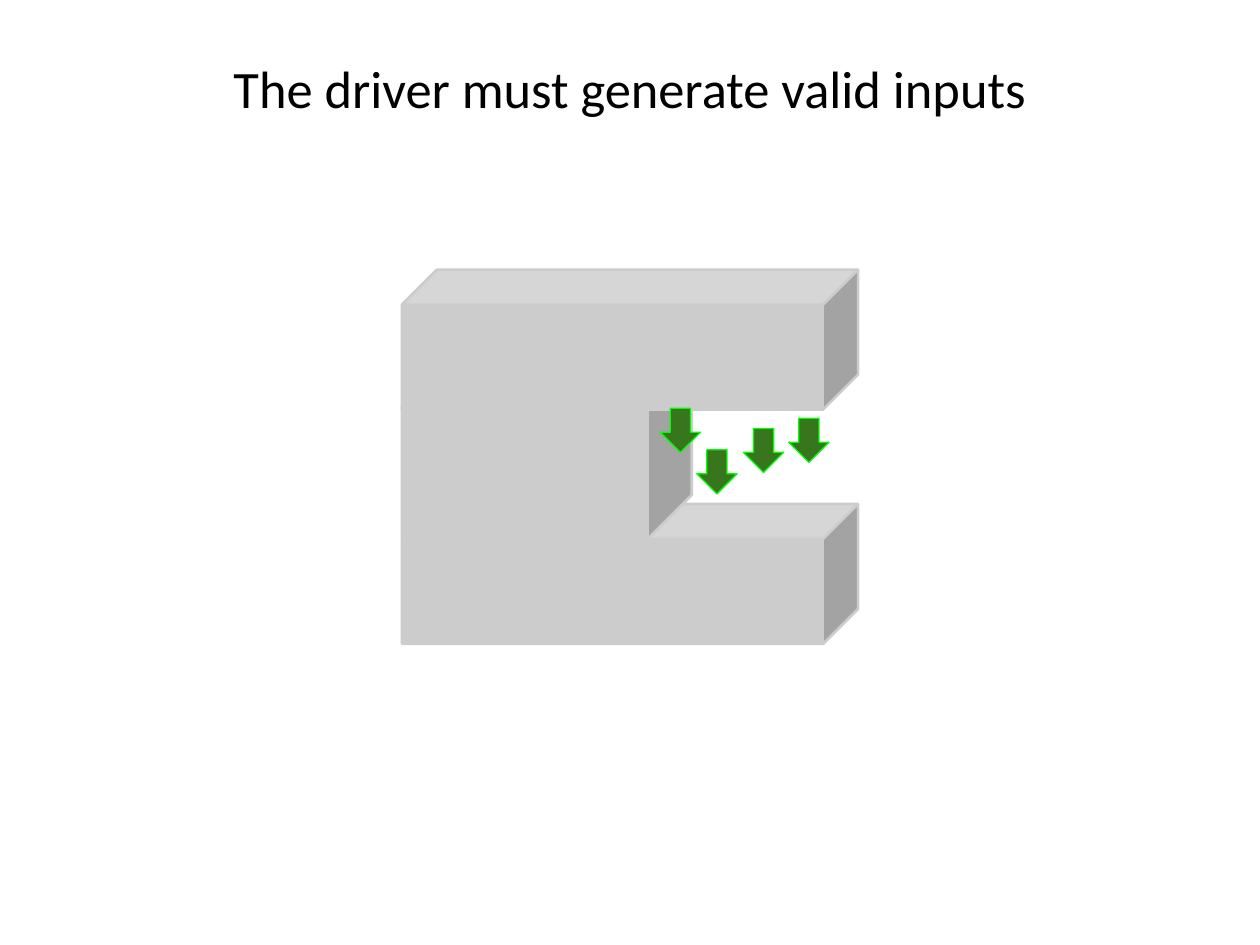
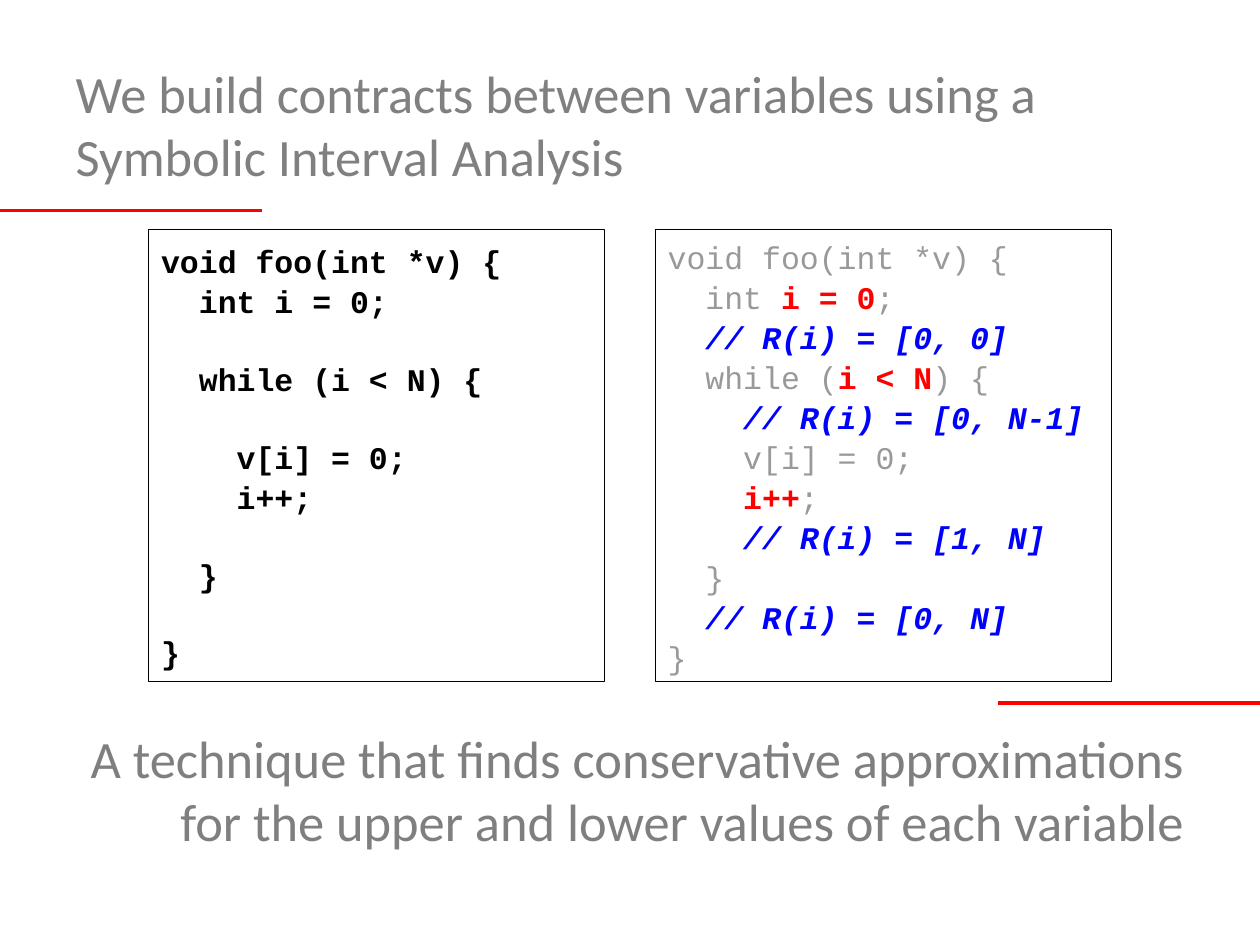
from lxml.etree import SubElement
from pptx import Presentation
from pptx.dml.color import RGBColor
from pptx.enum.shapes import MSO_CONNECTOR, MSO_SHAPE
from pptx.enum.text import MSO_ANCHOR, MSO_AUTO_SIZE, PP_ALIGN
from pptx.oxml.ns import qn
from pptx.util import Inches, Pt

# The slide is a grid of 100 columns by 75 rows
WIDTH, HEIGHT = Inches(10), Inches(7.5)
COLUMN, ROW = WIDTH / 100, HEIGHT / 75
MARGIN, TEXT_COLUMNS = 5, 90
BAND_ROWS, RULE_COLUMNS = 13.7, 20.8
TITLE_TOP, FOOTNOTE_TOP = 3, 55.8

BLACK = RGBColor(0x00, 0x00, 0x00)
TITLE_GREY = RGBColor(0x80, 0x80, 0x80)
FOOTNOTE_GREY = RGBColor(0x7F, 0x7F, 0x7F)
CODE_GREY = RGBColor(0x99, 0x99, 0x99)
BLOCK_GREY = RGBColor(0xCC, 0xCC, 0xCC)
RED = RGBColor(0xFF, 0x00, 0x00)
BLUE = RGBColor(0x00, 0x00, 0xFF)
ARROW_GREEN = RGBColor(0x38, 0x76, 0x1D)
EDGE_GREEN = RGBColor(0x00, 0xFF, 0x00)

HEADING_FONT, HEADING_SIZE = "Calibri", Pt(30)
CODE_FONT, CODE_SIZE, CODE_LEADING = "Courier New", Pt(18), 1.06
CODE_LINE = Pt(21.6)

# Code tones: colour, bold, italic
SOURCE = (BLACK, True, False)
FADED = (CODE_GREY, False, False)
KEY = (RED, True, False)
RANGE = (BLUE, True, True)

# Left column, top row, columns, rows; the stem joins the two bars
BLOCK_PARTS = [
    (31.9, 40, 36.2, 11.1),
    (31.9, 28.8, 23, 14),
    (31.9, 21.4, 36.2, 11.1),
]
INPUTS_BEHIND = [(59, 34), (62.6, 33.2)]
INPUTS_IN_FRONT = [(55.3, 35.7), (52.4, 32.4)]

PLAIN_CODE = [
    "void foo(int *v) {", "  int i = 0;", "", "  while (i < N) {", "",
    "    v[i] = 0;", "    i++;", "", "  }", "", "}",
]
ANNOTATED_CODE = [
    [("void foo(int *v) {", FADED)],
    [("  int ", FADED), ("i = 0", KEY), (";", FADED)],
    [("  ", FADED), ("// R(i) = [0, 0]", RANGE)],
    [("  while (", FADED), ("i < N", KEY), (") {", FADED)],
    [("    ", FADED), ("// R(i) = [0, N-1]", RANGE)],
    [("    v[i] = 0;", FADED)],
    [("    ", FADED), ("i++", KEY), (";", FADED)],
    [("    ", FADED), ("// R(i) = [1, N]", RANGE)],
    [("  }", FADED)],
    [("  ", FADED), ("// R(i) = [0, N]", RANGE)],
    [("}", FADED)],
]


def on_grid(left, top, columns, rows):
    return (round(left * COLUMN), round(top * ROW),
            round(columns * COLUMN), round(rows * ROW))


def prepare_frame(frame, anchor):
    frame.word_wrap = True
    frame.auto_size = MSO_AUTO_SIZE.NONE
    frame.vertical_anchor = anchor
    frame.margin_left = frame.margin_right = Inches(0.1)
    frame.margin_top = frame.margin_bottom = Inches(0.1)


def write_heading(frame, text, color, align):
    prepare_frame(frame, MSO_ANCHOR.MIDDLE)
    paragraph = frame.paragraphs[0]
    paragraph.alignment = align
    run = paragraph.add_run()
    run.text = text
    run.font.name, run.font.size = HEADING_FONT, HEADING_SIZE
    run.font.color.rgb = color


def add_titled_slide(deck, text, rows, color, align):
    slide = deck.slides.add_slide(deck.slide_layouts[5])
    title = slide.shapes.title
    title.left, title.top, title.width, title.height = on_grid(
        MARGIN, TITLE_TOP, TEXT_COLUMNS, rows)
    write_heading(title.text_frame, text, color, align)
    return slide


def add_footnote(slide, text):
    box = slide.shapes.add_textbox(
        *on_grid(MARGIN, FOOTNOTE_TOP, TEXT_COLUMNS, BAND_ROWS))
    write_heading(box.text_frame, text, FOOTNOTE_GREY, PP_ALIGN.RIGHT)


def add_preset(slide, preset, place, fill, edge, edge_width):
    shape = slide.shapes.add_shape(preset, *on_grid(*place))
    shape.shadow.inherit = False
    if fill is None:
        shape.fill.background()
    else:
        shape.fill.solid()
        shape.fill.fore_color.rgb = fill
    shape.line.color.rgb = edge
    shape.line.width = Pt(edge_width)
    return shape


def add_inputs(slide, corners):
    for left, top in corners:
        add_preset(slide, MSO_SHAPE.DOWN_ARROW, (left, top, 3.2, 3.5),
                   ARROW_GREEN, EDGE_GREEN, 0.75)


def add_rule(slide, left, row):
    x, y, length, _ = on_grid(left, row, RULE_COLUMNS, 0)
    rule = slide.shapes.add_connector(
        MSO_CONNECTOR.STRAIGHT, x, y, x + length, y)
    rule.line.color.rgb = RED
    rule.line.width = Pt(2)
    SubElement(rule._element.spPr, qn("a:effectLst"))


def add_code_panel(slide, left, lines):
    """Draw framed code; an empty line becomes space before the next one."""
    panel = add_preset(slide, MSO_SHAPE.RECTANGLE, (left, 18.2, 36.2, 35.9),
                       None, BLACK, 0.75)
    frame = panel.text_frame
    prepare_frame(frame, MSO_ANCHOR.MIDDLE)
    paragraph, gap = frame.paragraphs[0], 0
    for number, line in enumerate(lines):
        if not line:
            gap += CODE_LINE
            continue
        if number:
            paragraph = frame.add_paragraph()
            paragraph.space_before = gap
        paragraph.alignment = PP_ALIGN.LEFT
        paragraph.line_spacing = CODE_LEADING
        gap = 0
        for text, (color, bold, italic) in line:
            run = paragraph.add_run()
            run.text = text
            run.font.name, run.font.size = CODE_FONT, CODE_SIZE
            run.font.bold, run.font.italic = bold, italic
            run.font.color.rgb = color


def build_inputs_slide(deck):
    slide = add_titled_slide(deck, "The driver must generate valid inputs",
                             7.9, BLACK, PP_ALIGN.CENTER)
    add_inputs(slide, INPUTS_BEHIND)
    for place in BLOCK_PARTS:
        add_preset(slide, MSO_SHAPE.CUBE, place, BLOCK_GREY, BLOCK_GREY, 1.5)
    add_inputs(slide, INPUTS_IN_FRONT)


def build_contracts_slide(deck):
    slide = add_titled_slide(
        deck,
        "We build contracts between variables using a "
        "Symbolic Interval Analysis",
        BAND_ROWS, TITLE_GREY, PP_ALIGN.LEFT)
    add_rule(slide, 0, TITLE_TOP + BAND_ROWS)
    add_footnote(slide, "A technique that finds conservative approximations "
                        "for the upper and lower values of each variable")
    add_rule(slide, 100 - RULE_COLUMNS, FOOTNOTE_TOP)
    add_code_panel(slide, 11.8,
                   [[(line, SOURCE)] if line else [] for line in PLAIN_CODE])
    add_code_panel(slide, 52, ANNOTATED_CODE)


def main():
    deck = Presentation()
    deck.slide_width, deck.slide_height = WIDTH, HEIGHT
    build_inputs_slide(deck)
    build_contracts_slide(deck)
    deck.save("out.pptx")


if __name__ == "__main__":
    main()
